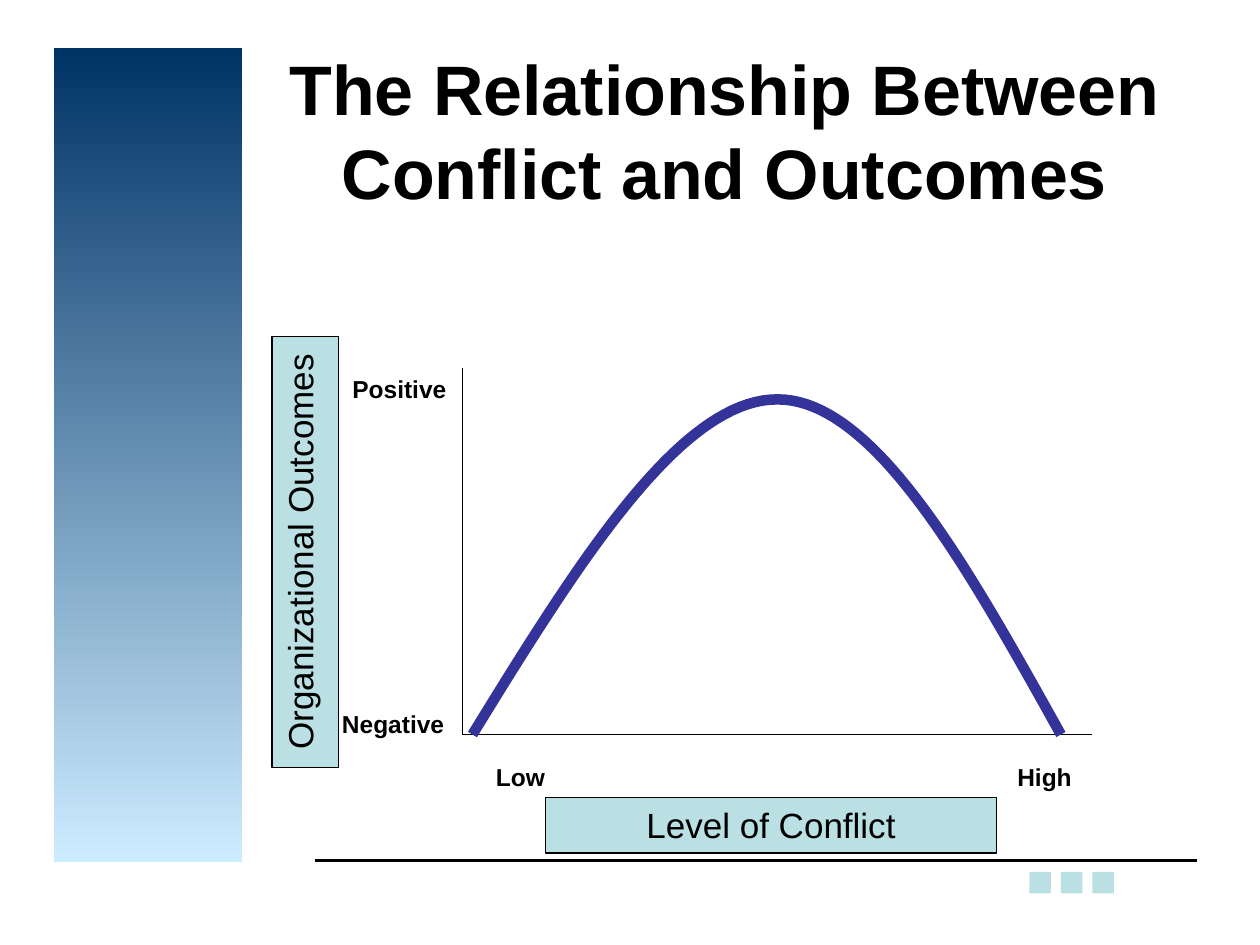
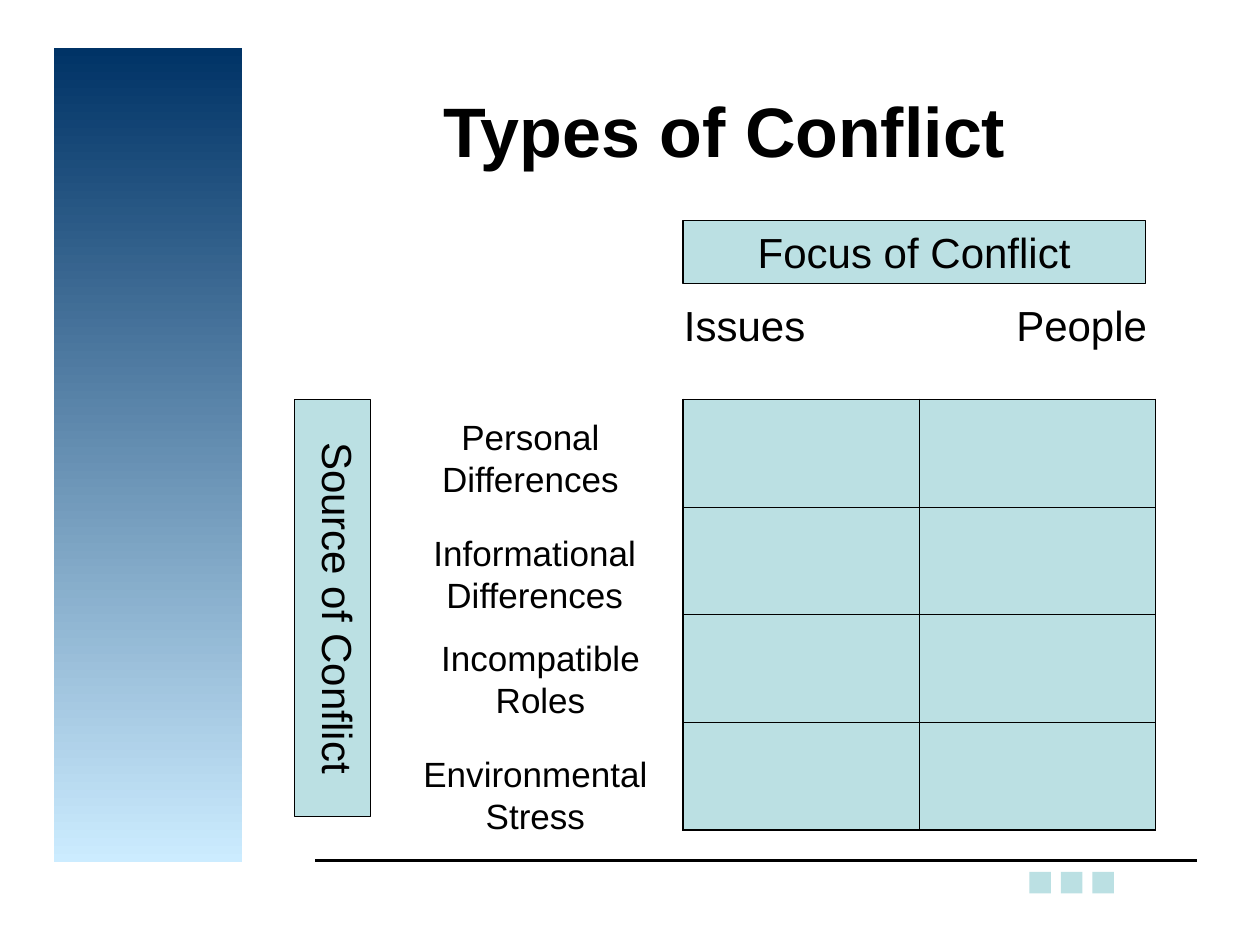
from typing import NamedTuple

import pptx
import pptx.dml.color
import pptx.enum.shapes
import pptx.enum.text
import pptx.oxml
import pptx.oxml.ns
import pptx.slide
import pptx.util
from pptx.dml.color import RGBColor
from pptx.util import Inches

BLACK = RGBColor(0x00, 0x00, 0x00)
NAVY = RGBColor(0x00, 0x33, 0x66)
SKY = RGBColor(0xCC, 0xEC, 0xFF)
TEAL = RGBColor(0xBB, 0xE0, 0xE3)
INDIGO = RGBColor(0x33, 0x33, 0x99)
FONT = "Arial"
RECTANGLE = pptx.enum.shapes.MSO_SHAPE.RECTANGLE
STRAIGHT = pptx.enum.shapes.MSO_CONNECTOR.STRAIGHT
MIDDLE = pptx.enum.text.MSO_ANCHOR.MIDDLE
TOP = pptx.enum.text.MSO_ANCHOR.TOP


class Box(NamedTuple):
    left: float
    top: float
    width: float
    height: float

    def lengths(self) -> list[int]:
        return [Inches(value) for value in self]


class Point(NamedTuple):
    x: float
    y: float


class Label(NamedTuple):
    text: str
    box: Box


class Banner(NamedTuple):
    text: str
    box: Box
    size: float
    direction: str = "horz"


# Shared parts
TITLE_BOX = Box(2, 0.5, 7.5, 1.05)
SIDE_BAND = Box(0.43, 0.38, 1.49, 6.46)
FOOTER_SQUARES = [Box(8.17 + 0.25 * i, 6.92, 0.17, 0.17) for i in range(3)]

# Conflict and outcomes
ORIGIN = Point(3.67, 5.83)
AXIS_ENDS = [Point(3.67, 2.92), Point(8.67, 5.83)]
CURVE_HALVES = [
    (Point(3.75, 5.83), Point(4.57, 4.5), Point(5.39, 3.17), Point(6.17, 3.17)),
    (Point(6.17, 3.17), Point(6.94, 3.17), Point(7.68, 4.5), Point(8.42, 5.83)),
]
CURVE_STEPS = 40
OUTCOME_BANNERS = [
    Banner("Organizational Outcomes", Box(2.16, 2.67, 0.53, 3.42), 20, "vert270"),
    Banner("Level of Conflict", Box(4.33, 6.33, 3.58, 0.44), 20),
]
AXIS_LABELS = [
    Label("Negative", Box(2.58, 5.58, 1.08, 0.34)),
    Label("Positive", Box(2.67, 2.92, 1, 0.34)),
    Label("Low", Box(3.67, 6, 0.92, 0.34)),
    Label("High", Box(7.83, 6, 0.92, 0.34)),
]

# Types of conflict
TYPE_BANNERS = [
    Banner("Source of Conflict", Box(2.34, 3.17, 0.6, 3.31), 24, "vert"),
    Banner("Focus of Conflict", Box(5.42, 1.75, 3.67, 0.5), 24),
]
FOCUS_LABELS = [
    Label("Issues", Box(5.33, 2.33, 1.16, 0.5)),
    Label("People", Box(7.67, 2.33, 1.83, 0.5)),
]
SOURCE_LABELS = [
    Label("Personal Differences", Box(3, 3.25, 2.42, 0.77)),
    Label("Informational Differences", Box(3.33, 4.17, 1.83, 0.77)),
    Label("Incompatible Roles", Box(3.33, 5, 1.92, 0.77)),
    Label("Environmental Stress", Box(3.25, 5.92, 2, 0.77)),
]
GRID_BOX = Box(5.42, 3.17, 3.75, 3.42)
GRID_ROWS, GRID_COLUMNS = 4, 2
OUTER_BORDER, INNER_BORDER = 1.08, 0.45


def write_text(frame, text: str, *, size: float, bold: bool = False,
               anchor=TOP, side_inset: float = 0.1, end_inset: float = 0.05) -> None:
    """Fill a text frame with one centred paragraph."""
    frame.word_wrap = True
    frame.vertical_anchor = anchor
    frame.margin_left = frame.margin_right = Inches(side_inset)
    frame.margin_top = frame.margin_bottom = Inches(end_inset)
    paragraph = frame.paragraphs[0]
    paragraph.alignment = pptx.enum.text.PP_ALIGN.CENTER
    run = paragraph.add_run()
    run.text = text
    run.font.name = FONT
    run.font.size = pptx.util.Pt(size)
    run.font.bold = bold
    run.font.color.rgb = BLACK


def add_label(slide: pptx.slide.Slide, label: Label, **text_format) -> None:
    frame = slide.shapes.add_textbox(*label.box.lengths()).text_frame
    write_text(frame, label.text, **text_format)


def add_rectangle(slide: pptx.slide.Slide, box: Box):
    rectangle = slide.shapes.add_shape(RECTANGLE, *box.lengths())
    rectangle.shadow.inherit = False
    rectangle.fill.solid()
    rectangle.fill.fore_color.rgb = TEAL
    rectangle.line.fill.background()
    return rectangle


def add_banner(slide: pptx.slide.Slide, banner: Banner) -> None:
    panel = add_rectangle(slide, banner.box)
    panel.line.color.rgb = BLACK
    panel.line.width = pptx.util.Pt(0.75)
    upright = banner.direction != "horz"
    write_text(panel.text_frame, banner.text, size=banner.size,
               end_inset=0.1 if upright else 0.05)
    if upright:
        body = panel.text_frame._txBody.find(pptx.oxml.ns.qn("a:bodyPr"))
        body.set("vert", banner.direction)


def add_line(slide: pptx.slide.Slide, start: Point, end: Point, width: float) -> None:
    ends = [Inches(value) for value in (*start, *end)]
    line = slide.shapes.add_connector(STRAIGHT, *ends)
    line.line.color.rgb = BLACK
    line.line.width = pptx.util.Pt(width)
    pptx.oxml.ns.qn("a:effectLst")
    line._element.spPr.append(
        line._element.spPr.makeelement(pptx.oxml.ns.qn("a:effectLst"), {}))


def bezier_point(controls: tuple[Point, ...], t: float) -> tuple[int, int]:
    weights = ((1 - t) ** 3, 3 * t * (1 - t) ** 2, 3 * t ** 2 * (1 - t), t ** 3)
    x = sum(weight * point.x for weight, point in zip(weights, controls))
    y = sum(weight * point.y for weight, point in zip(weights, controls))
    return Inches(x), Inches(y)


def add_outcome_curve(slide: pptx.slide.Slide) -> None:
    points = [bezier_point(half, step / CURVE_STEPS)
              for half in CURVE_HALVES for step in range(1, CURVE_STEPS + 1)]
    start = CURVE_HALVES[0][0]
    builder = slide.shapes.build_freeform(Inches(start.x), Inches(start.y))
    builder.add_line_segments(points, close=False)
    curve = builder.convert_to_shape()
    curve.shadow.inherit = False
    curve.fill.background()
    curve.line.color.rgb = INDIGO
    curve.line.width = pptx.util.Pt(6)


def set_border(cell, side: str, width: float) -> None:
    namespace = pptx.oxml.ns.nsdecls("a")
    cell._tc.get_or_add_tcPr().append(pptx.oxml.parse_xml(
        f'<a:ln{side} {namespace} w="{pptx.util.Pt(width)}"><a:solidFill>'
        f'<a:srgbClr val="{BLACK}"/></a:solidFill></a:ln{side}>'))


def add_conflict_grid(slide: pptx.slide.Slide) -> None:
    grid = slide.shapes.add_table(GRID_ROWS, GRID_COLUMNS, *GRID_BOX.lengths()).table
    grid.first_row = grid.horz_banding = False
    for r in range(GRID_ROWS):
        for c in range(GRID_COLUMNS):
            cell = grid.cell(r, c)
            on_edge = {"L": c == 0, "R": c == GRID_COLUMNS - 1,
                       "T": r == 0, "B": r == GRID_ROWS - 1}
            for side, outer in on_edge.items():
                set_border(cell, side, OUTER_BORDER if outer else INNER_BORDER)
            cell.fill.solid()
            cell.fill.fore_color.rgb = TEAL


def add_base_slide(deck, title: str) -> pptx.slide.Slide:
    """Start a slide with the side band, title, footer rule and squares."""
    slide = deck.slides.add_slide(deck.slide_layouts[6])
    band = add_rectangle(slide, SIDE_BAND)
    band.fill.gradient()
    band.fill.gradient_angle = 270
    for stop, color in zip(band.fill.gradient_stops, (NAVY, SKY)):
        stop.color.rgb = color
    add_label(slide, Label(title, TITLE_BOX), size=40, bold=True, anchor=MIDDLE)
    add_line(slide, Point(2.5, 6.83), Point(9.5, 6.83), 2)
    for square in FOOTER_SQUARES:
        add_rectangle(slide, square)
    return slide


def build_outcomes_slide(deck) -> None:
    slide = add_base_slide(deck, "The Relationship Between Conflict and Outcomes")
    for end in AXIS_ENDS:
        add_line(slide, ORIGIN, end, 0.75)
    add_outcome_curve(slide)
    for banner in OUTCOME_BANNERS:
        add_banner(slide, banner)
    for label in AXIS_LABELS:
        add_label(slide, label, size=14, bold=True)


def build_types_slide(deck) -> None:
    slide = add_base_slide(deck, "Types of Conflict")
    for banner in TYPE_BANNERS:
        add_banner(slide, banner)
    for label in FOCUS_LABELS:
        add_label(slide, label, size=24)
    for label in SOURCE_LABELS:
        add_label(slide, label, size=20)
    add_conflict_grid(slide)


def main() -> None:
    deck = pptx.Presentation()
    deck.slide_width, deck.slide_height = Inches(10), Inches(7.5)
    build_outcomes_slide(deck)
    build_types_slide(deck)
    deck.save("out.pptx")


if __name__ == "__main__":
    main()
